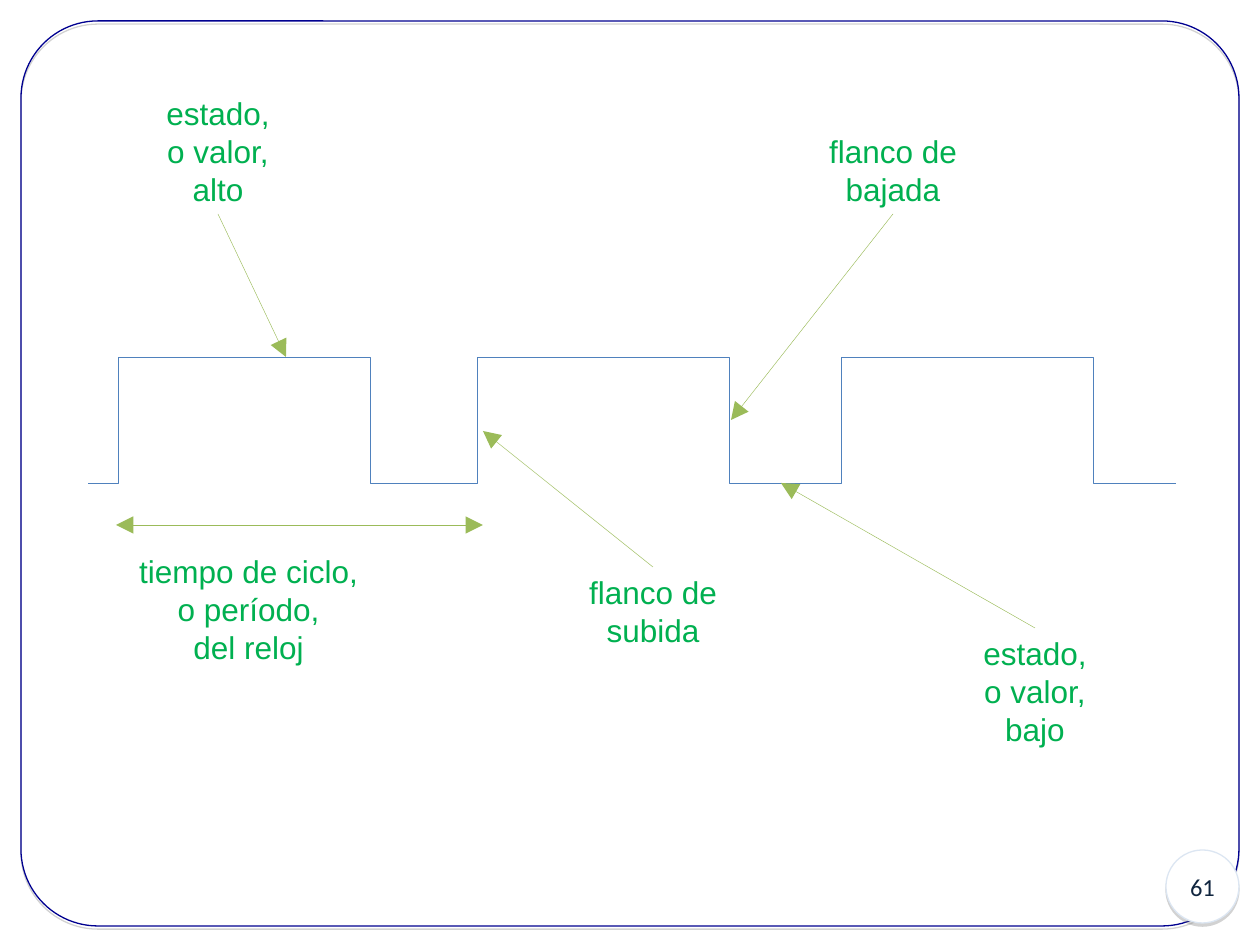
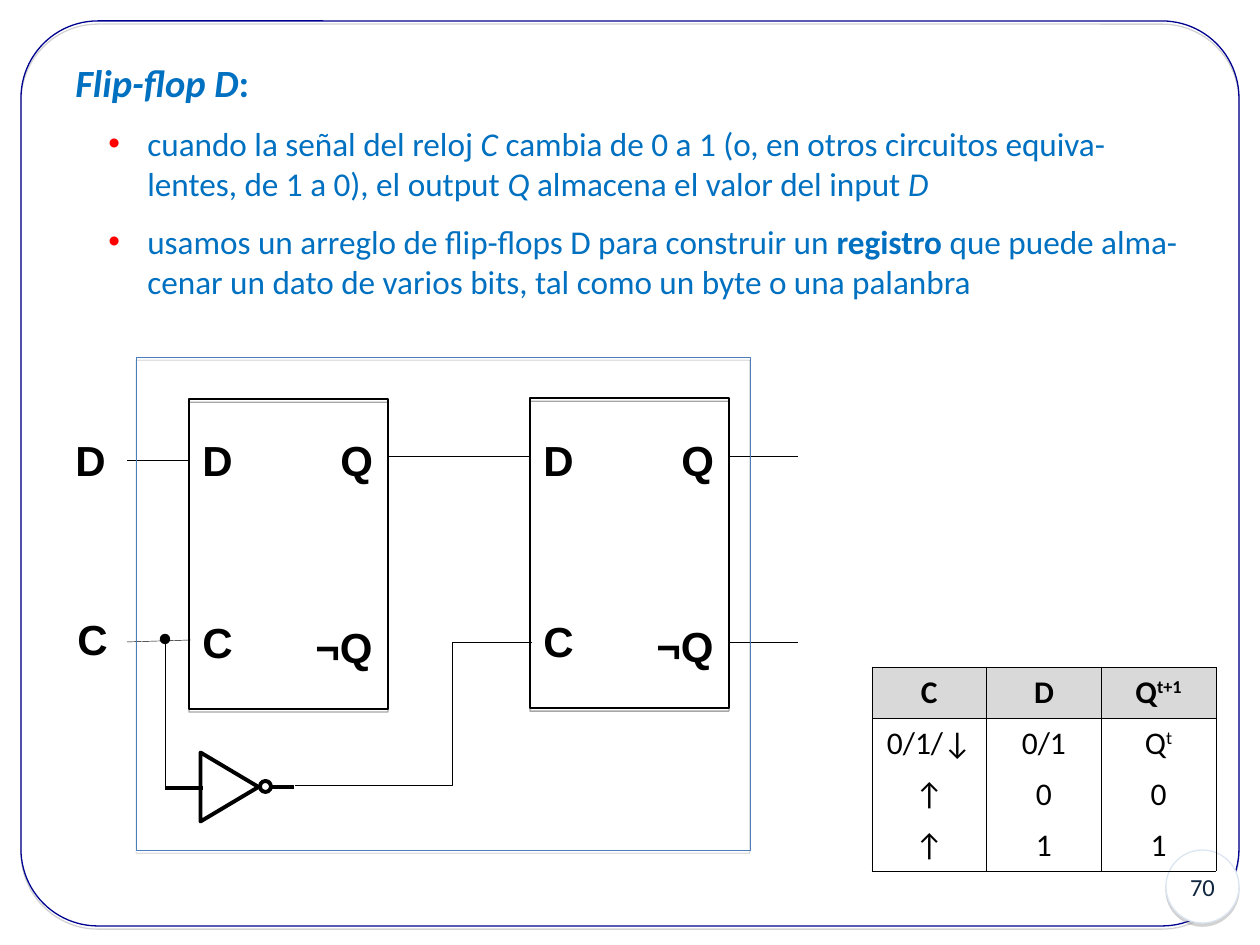
"""Build two slides: the clock signal and the D flip-flop."""
from typing import NamedTuple

from lxml import etree
from pptx import Presentation
from pptx.dml.color import RGBColor
from pptx.enum.shapes import MSO_CONNECTOR, MSO_SHAPE
from pptx.enum.text import MSO_ANCHOR, MSO_AUTO_SIZE, PP_ALIGN
from pptx.oxml.ns import qn
from pptx.util import Emu, Pt

LINE, ELBOW = MSO_CONNECTOR.STRAIGHT, MSO_CONNECTOR.ELBOW
RECT, ROUND = MSO_SHAPE.RECTANGLE, MSO_SHAPE.ROUNDED_RECTANGLE
OVAL, WEDGE = MSO_SHAPE.OVAL, MSO_SHAPE.ISOSCELES_TRIANGLE
LEFT, MID = PP_ALIGN.LEFT, PP_ALIGN.CENTER
CENTER, GROW = MSO_ANCHOR.MIDDLE, MSO_AUTO_SIZE.SHAPE_TO_FIT_TEXT
TOP, BOTTOM = 0, 2
SCALE = 914400 / 126
BLACK, WHITE, GRAY, SHADE = "000000", "FFFFFF", "D9D9D9", "808080"
NAVY, PALE, INK = "000090", "DCE6F2", "10253F"
WAVE, ARROW, GREEN = "4F81BD", "9BBB59", "00B050"
BLUE, RED, CASE = "0070C0", "FF0000", "4A7EBB"
SANS, BODY = "Arial", "Calibri"
HAIR, THIN, EDGE, THICK = 0.25, 0.75, 0.45, 2.25


class Box(NamedTuple):
    """Place and size in px."""
    x: int
    y: int
    w: int
    h: int


class Note(NamedTuple):
    """A label whose arrow leaves one side for a target."""
    text: str
    box: Box
    side: int
    tip: tuple


class Wire(NamedTuple):
    """A straight line with its width."""
    x1: int
    y1: int
    x2: int
    y2: int
    width: float = HAIR


class Run(NamedTuple):
    """A piece of text with its marks: b bold, i italic, s raised."""
    text: str
    marks: str = ""


NOTES = [
    Note("flanco de\nsubida", Box(573, 567, 160, 88), TOP, (483, 431)),
    Note("flanco de\nbajada", Box(813, 126, 160, 88), BOTTOM, (731, 420)),
    Note("estado,\no valor,\nalto", Box(150, 88, 136, 126), BOTTOM, (286, 357)),
    Note("estado,\no valor,\nbajo", Box(967, 628, 136, 126), TOP, (781, 483)),
]
POINTS = [
    [Run("cuando la señal del reloj "), Run("C", "i"),
     Run(" cambia de 0 a 1 (o, en otros circuitos equiva-lentes, de 1 a 0), el output "),
     Run("Q", "i"), Run(" almacena el valor del input "), Run("D", "i")],
    [Run("usamos un arreglo de flip-flops D para construir un "), Run("registro", "b"),
     Run(" que puede alma-cenar un dato de varios bits, tal como un byte o una palanbra")],
]
ROWS = [
    [[Run("C")], [Run("D")], [Run("Q"), Run("t+1", "s")]],
    [[Run("0/1/↓")], [Run("0/1")], [Run("Q"), Run("t", "s")]],
    [[Run("↑")], [Run("0")], [Run("0")]],
    [[Run("↑")], [Run("1")], [Run("1")]],
]
WIRES = [
    Wire(388, 456, 530, 456), Wire(127, 642, 191, 640), Wire(730, 456, 798, 456),
    Wire(730, 642, 798, 642), Wire(490, 642, 532, 642), Wire(189, 460, 127, 460),
    Wire(165, 788, 203, 788, THICK), Wire(271, 787, 294, 787, THICK),
]


def px(num: float) -> Emu:
    """Turn px into EMU."""
    return Emu(round(num * SCALE))


def hue(code: str) -> RGBColor:
    """Turn a hex string into a colour."""
    return RGBColor.from_string(code)


def node(root, tag: str, **attrs: str):
    """Append a drawing element."""
    return etree.SubElement(root, qn(tag), attrs)


def tint(root, code: str):
    """Append a colour element."""
    return node(root, "a:srgbClr", val=code)


def style(para, size: float, face: str, code: str, bold: bool = False) -> None:
    """Set the font of a paragraph."""
    font = para.font
    font.size, font.name, font.bold = Pt(size), face, bold
    font.color.rgb = hue(code)


def fill_runs(para, runs: list[Run]) -> None:
    """Add marked runs to a paragraph."""
    for part in runs:
        run = para.add_run()
        run.text = part.text
        if "b" in part.marks:
            run.font.bold = True
        if "i" in part.marks:
            run.font.italic = True
        if "s" in part.marks:
            run.font._element.set("baseline", "30000")


def draw(slide, kind, box: Box, code: str, width: float, fill: str = "", shade: str = ""):
    """Draw an outlined shape, with a drop shadow if a shade is given."""
    shape = slide.shapes.add_shape(kind, *map(px, box))
    shape.shadow.inherit = False
    if fill:
        shape.fill.solid()
        shape.fill.fore_color.rgb = hue(fill)
    else:
        shape.fill.background()
    shape.line.color.rgb, shape.line.width = hue(code), Pt(width)
    if shade:
        cast = node(shape._element.spPr.find(qn("a:effectLst")), "a:outerShdw",
                    blurRad="0", dist="22860", dir="5400000", rotWithShape="0")
        node(tint(cast, shade), "a:alpha", val="35000")
    return shape


def link(slide, wire: Wire, code: str, kind=LINE, bend: float = 0, head: str = "", tail: str = ""):
    """Draw a connector with optional bend and line ends."""
    ends = map(px, wire[:4])
    line = slide.shapes.add_connector(kind, *ends)
    line.line.color.rgb, line.line.width = hue(code), Pt(wire.width)
    props = line._element.spPr
    if bend:
        node(props.find(qn("a:prstGeom")).find(qn("a:avLst")), "a:gd",
             name="adj1", fmla=f"val {round(bend * 100000)}")
    for tag, end in (("a:headEnd", head), ("a:tailEnd", tail)):
        if end:
            size = "lg" if end == "triangle" else "med"
            node(props.find(qn("a:ln")), tag, type=end, w=size, len=size)
    node(props, "a:effectLst")
    return line


def label(slide, text: str, box: Box, size: int, code: str, align=LEFT, bold: bool = False):
    """Add a text box that fits its lines."""
    shape = slide.shapes.add_textbox(*map(px, box))
    frame = shape.text_frame
    frame.word_wrap, frame.auto_size = False, GROW
    frame.text = text
    for para in frame.paragraphs:
        para.alignment = align
        style(para, size, SANS, code, bold)
    return shape


def page(deck, num: int):
    """Add a slide with its frame and number badge."""
    slide = deck.slides.add_slide(deck.slide_layouts[6])
    frame = draw(slide, ROUND, Box(21, 21, 1218, 905), NAVY, THIN, shade=SHADE)
    frame.adjustments[0] = 0.085
    badge = draw(slide, OVAL, Box(1166, 850, 73, 73), PALE, THIN, WHITE, SHADE)
    badge.text_frame.text = str(num)
    badge.text_frame.vertical_anchor = CENTER
    para = badge.text_frame.paragraphs[0]
    para.alignment = MID
    style(para, 14, BODY, INK)
    return slide


def clock(slide) -> None:
    """Draw the clock wave and its labels."""
    high, low = 357, 483
    for left in (88, 447, 811):
        link(slide, Wire(left, low, left + 131, high), WAVE, ELBOW, 0.23)
        link(slide, Wire(left + 129, high, left + 365, low), WAVE, ELBOW, 0.65)
    link(slide, Wire(116, 525, 483, 525), ARROW, head="triangle", tail="triangle")
    label(slide, "tiempo de ciclo,\no período,\ndel reloj", Box(123, 546, 251, 126), 18, GREEN, MID)
    for note in NOTES:
        shape = label(slide, note.text, note.box, 18, GREEN, MID)
        line = link(slide, Wire(0, 0, *note.tip), ARROW, tail="triangle")
        line.begin_connect(shape, note.side)


def prose(slide) -> None:
    """Write the heading and its bullets."""
    frame = slide.shapes.add_textbox(*map(px, Box(63, 46, 1134, 268))).text_frame
    frame.word_wrap, frame.vertical_anchor = True, CENTER
    para = frame.paragraphs[0]
    style(para, 22, BODY, BLUE, True)
    fill_runs(para, [Run("Flip-flop D", "i"), Run(":")])
    for runs in POINTS:
        para = frame.add_paragraph()
        para.space_before = Pt(10.5)
        props = para._p.get_or_add_pPr()
        props.set("marL", str(px(72)))
        props.set("indent", str(px(-39)))
        tint(node(props, "a:buClr"), RED)
        node(props, "a:buFont", typeface=SANS)
        node(props, "a:buChar", char="•")
        style(para, 19, BODY, BLUE)
        fill_runs(para, runs)


def edges(cell, shown: str) -> None:
    """Draw the shown sides of a cell and clear the others."""
    props = cell._tc.get_or_add_tcPr()
    for side in "LRTB":
        line = node(props, f"a:ln{side}", w=str(Pt(EDGE)))
        if side in shown:
            tint(node(line, "a:solidFill"), BLACK)
        else:
            node(line, "a:noFill")


def truth(slide) -> None:
    """Add the state table."""
    size = Box(872, 667, 344, 204)
    table = slide.shapes.add_table(4, 3, *map(px, size)).table
    table.first_row = table.horz_banding = False
    sides = ["LRTB", "LRT", "LR", "LRB"]
    for row, cells in enumerate(ROWS):
        for col, runs in enumerate(cells):
            cell = table.cell(row, col)
            edges(cell, sides[row])
            if row:
                cell.fill.background()
            else:
                cell.fill.solid()
                cell.fill.fore_color.rgb = hue(GRAY)
            para = cell.text_frame.paragraphs[0]
            para.alignment = MID
            style(para, 18, BODY, BLACK, row == 0)
            fill_runs(para, runs)


def pin(slide, text: str, x: int, y: int, w: int = 55) -> None:
    """Name a pin of the circuit."""
    label(slide, text, Box(x, y, w, 63), 24, BLACK, bold=True)


def latch(slide, x: int, y: int) -> None:
    """Draw a latch with its four pins."""
    draw(slide, RECT, Box(x, y, 199, 310), BLACK, THIN, shade=BLACK)
    pin(slide, "D", x + 1, 428)
    pin(slide, "Q", x + 139, 428, 58)
    pin(slide, "C", x + 1, y + 211)
    pin(slide, "¬Q", x + 114, y + 216, 82)


def circuit(slide) -> None:
    """Draw the two latches, the inverter and the wires."""
    latch(slide, 189, 399)
    latch(slide, 530, 398)
    pin(slide, "D", 63, 428)
    pin(slide, "C", 65, 607)
    for wire in WIRES:
        link(slide, wire, BLACK)
    draw(slide, OVAL, Box(260, 781, 11, 11), BLACK, THICK)
    draw(slide, WEDGE, Box(195, 758, 69, 58), BLACK, THICK).rotation = 90
    link(slide, Wire(165, 790, 165, 639), BLACK, tail="oval")
    link(slide, Wire(295, 785, 490, 642), BLACK, ELBOW, 0.806)
    draw(slide, RECT, Box(136, 357, 614, 493), CASE, HAIR, shade=BLACK)


def main() -> None:
    """Build and save the deck."""
    deck = Presentation()
    deck.slide_width, deck.slide_height = px(1260), px(945)
    clock(page(deck, 61))
    slide = page(deck, 70)
    prose(slide)
    truth(slide)
    circuit(slide)
    deck.save("out.pptx")


if __name__ == "__main__":
    main()
